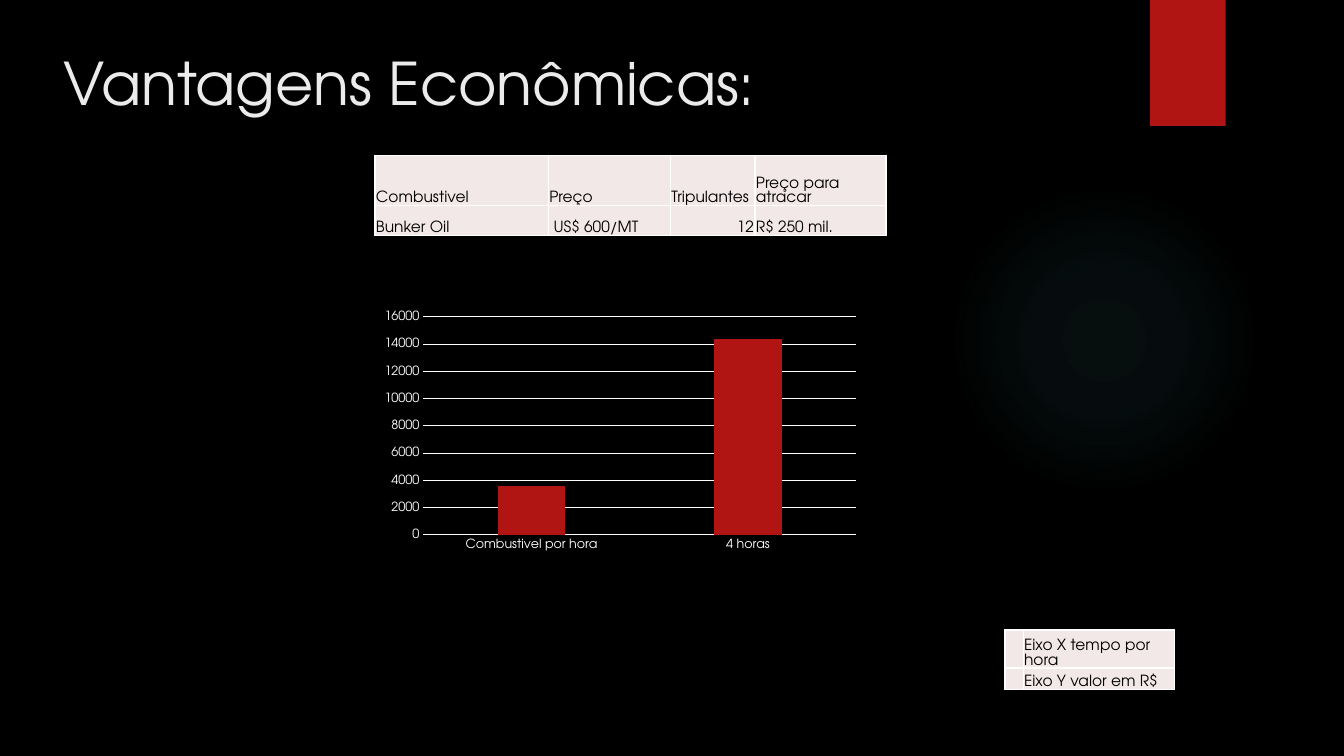
from lxml import etree
from pptx import Presentation
from pptx.chart.data import CategoryChartData
from pptx.dml.color import RGBColor
from pptx.enum import chart, shapes, text
from pptx.oxml import parse_xml
from pptx.oxml.ns import nsdecls, qn
from pptx.util import Emu, Inches, Pt

FONT = "TeX Gyre Adventor"
COLORS = {"back": "000000", "red": "B01513", "glow": "50B9C1", "title": "EBEBEB",
          "cell": "F2E8E7", "ink": "000000", "line": "FFFFFF"}


def rgb(name):
    """Return the named colour."""
    return RGBColor.from_string(COLORS[name])


def style(font, size, color):
    """Set typeface, size and colour."""
    font.name, font.size, font.bold = FONT, Pt(size), False
    font.color.rgb = rgb(color)


def inches(box):
    """Turn a box in inches into lengths."""
    return [Inches(v) for v in box]


def add_shape(s, kind, box):
    """Add a preset shape without line or shadow."""
    sp = s.shapes.add_shape(kind, *inches(box))
    sp.shadow.inherit = False
    sp.line.fill.background()
    return sp


def add_decor(s, glow_box, tab_box):
    """Draw the soft round glow and the red tab."""
    glow = add_shape(s, shapes.MSO_SHAPE.OVAL, glow_box)
    stops = "".join(
        f'<a:gs pos="{pos * 1000}"><a:srgbClr val="{COLORS["glow"]}">'
        f'<a:alpha val="{alpha * 1000}"/></a:srgbClr></a:gs>'
        for pos, alpha in ((0, 7), (36, 6), (69, 0), (100, 0)))
    glow._element.spPr.find(qn("a:prstGeom")).addnext(parse_xml(
        f'<a:gradFill {nsdecls("a")}><a:gsLst>{stops}</a:gsLst><a:path path="circle">'
        '<a:fillToRect l="50000" t="50000" r="50000" b="50000"/></a:path></a:gradFill>'))
    tab = add_shape(s, shapes.MSO_SHAPE.RECTANGLE, tab_box)
    tab.fill.solid()
    tab.fill.fore_color.rgb = rgb("red")


def add_title(s, box, words):
    """Write the heading at the top of its box."""
    tf = s.shapes.add_textbox(*inches(box)).text_frame
    tf.word_wrap = True
    r = tf.paragraphs[0].add_run()
    r.text = words
    style(r.font, 42, "title")


def fill_cell(cell, words):
    """Write one cell with its fill and borders."""
    cell.margin_left = cell.margin_right = cell.margin_top = Inches(0.01)
    cell.margin_bottom = 0
    cell.vertical_anchor = text.MSO_ANCHOR.BOTTOM
    p = cell.text_frame.paragraphs[0]
    if words:
        r = p.add_run()
        r.text = words
        style(r.font, 11, "ink")
    else:
        etree.SubElement(p._p, qn("a:endParaRPr"), sz="1100")
    if words.isdigit():
        p.alignment = text.PP_ALIGN.RIGHT
    tc_pr = cell._tc.get_or_add_tcPr()
    for side in ("lnL", "lnR", "lnT", "lnB"):
        tc_pr.append(parse_xml(
            f'<a:{side} {nsdecls("a")} w="12700"><a:solidFill>'
            f'<a:srgbClr val="{COLORS["line"]}"/></a:solidFill></a:{side}>'))
    cell.fill.solid()
    cell.fill.fore_color.rgb = rgb("cell")


def add_table(s, left, top, widths, heights, rows):
    """Place a table with the given column and row sizes."""
    box = inches((left, top, sum(widths), sum(heights)))
    table = s.shapes.add_table(len(rows), len(widths), *box).table
    table.first_row = table.horz_banding = False
    for column, width in zip(table.columns, widths):
        column.width = Inches(width)
    for i, (row, height) in enumerate(zip(rows, heights)):
        table.rows[i].height = Inches(height)
        for j, words in enumerate(row):
            fill_cell(table.cell(i, j), words)


def add_cost_chart(s, box):
    """Place the column chart of cost over time."""
    data = CategoryChartData()
    data.categories = ["Combustivel por hora", "4 horas"]
    data.add_series("Series 1", (3600, 14400))
    ch = s.shapes.add_chart(chart.XL_CHART_TYPE.COLUMN_CLUSTERED, *inches(box), data).chart
    ch.has_legend = ch.has_title = False
    style(ch.font, 10, "line")
    plot = ch.plots[0]
    plot.gap_width, plot.overlap, plot.vary_by_categories = 219, -27, False
    fill = plot.series[0].format.fill
    fill.solid()
    fill.fore_color.rgb = rgb("red")
    for axis in (ch.category_axis, ch.value_axis):
        axis.major_tick_mark = axis.minor_tick_mark = chart.XL_TICK_MARK.NONE
        style(axis.tick_labels.font, 9, "line")
    values = ch.value_axis
    values.minimum_scale, values.maximum_scale, values.major_unit = 0, 16000, 2000
    values.format.line.fill.background()
    for line in (ch.category_axis.format.line, values.major_gridlines.format.line):
        line.width = Pt(0.75)
        line.color.rgb = rgb("line")
    area = ch._chartSpace.chart.plotArea
    for old in area.findall(qn("c:layout")):
        area.remove(old)
    spots = "".join(f'<c:{k} val="{v}"/>' for k, v in (
        ("layoutTarget", "inner"), ("xMode", "edge"), ("yMode", "edge"),
        ("x", 0.096), ("y", 0.195), ("w", 0.859), ("h", 0.721)))
    area.insert(0, parse_xml(f'<c:layout {nsdecls("c")}><c:manualLayout>{spots}'
                             '</c:manualLayout></c:layout>'))


def main():
    """Build the slide and save it."""
    prs = Presentation()
    prs.slide_width, prs.slide_height = Emu(12192000), Inches(7.5)
    s = prs.slides.add_slide(prs.slide_layouts[6])
    s.background.fill.solid()
    s.background.fill.fore_color.rgb = rgb("back")
    add_decor(s, (9.41, 1.83, 3.08, 3.08), (11.41, 0, 0.75, 1.25))
    add_title(s, (0.53, 0.41, 10.29, 1.53), "Vantagens Econômicas:")
    add_table(s, 3.72, 1.54, (1.72, 1.21, 0.84, 1.3), (0.5, 0.3),
              [("Combustivel", "Preço", "Tripulantes", "Preço para atracar"),
               ("Bunker Oil", "\N{NO-BREAK SPACE}US$ 600/MT", "12", "R$ 250 mil.")])
    add_cost_chart(s, (3.72, 2.56, 5, 3))
    add_table(s, 9.97, 6.25, (0.18, 1.5), (0.3, 0.21),
              [("", "Eixo X tempo por hora"), ("", "Eixo Y valor em R$")])
    prs.save("out.pptx")


if __name__ == "__main__":
    main()
